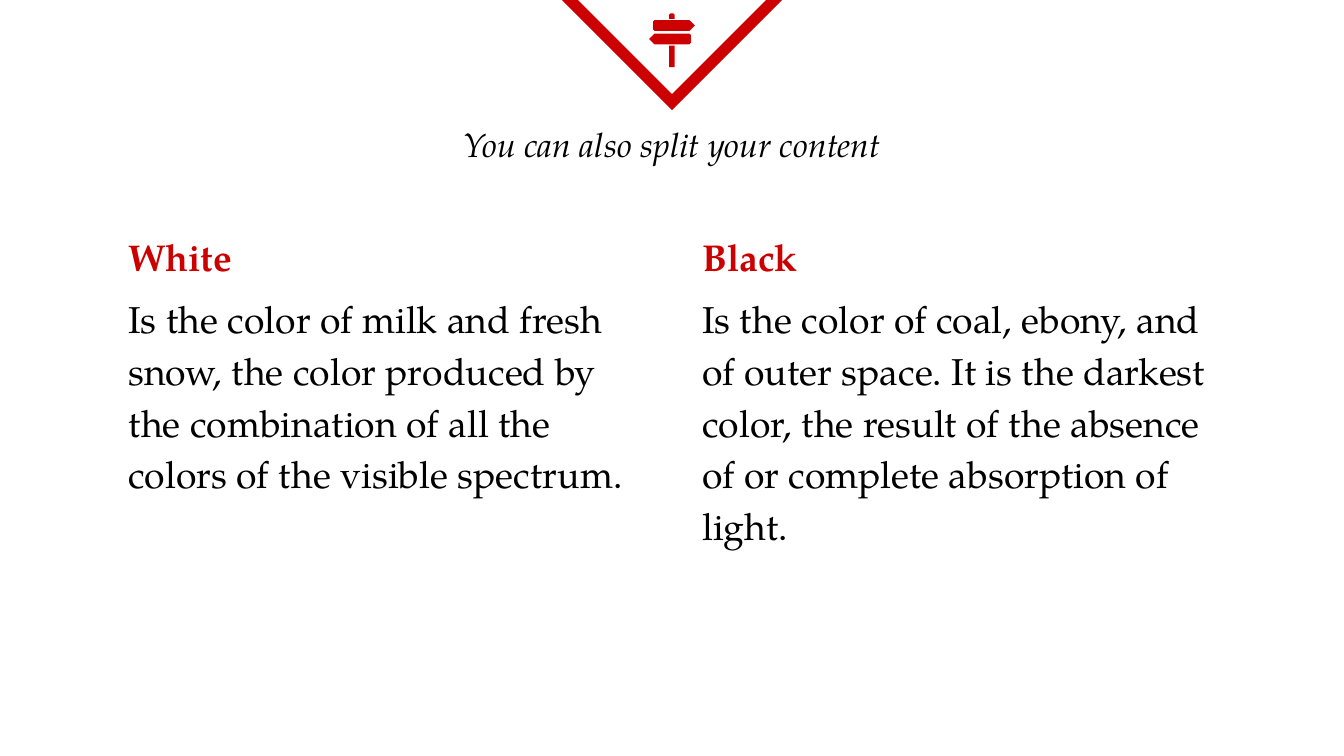
from lxml.etree import SubElement
from pptx import Presentation
from pptx.dml.color import RGBColor
from pptx.enum.shapes import MSO_SHAPE as Preset
from pptx.enum.text import MSO_ANCHOR as Anchor, MSO_AUTO_SIZE as AutoSize, PP_ALIGN as Align
from pptx.oxml.ns import qn
from pptx.util import Inches, Pt

WIDTH = 10
HEIGHT = WIDTH * 9 / 16
MIDDLE = WIDTH / 2
COLUMN_WIDTH, GUTTER = 4.02, 0.25
COLUMN_TOP, COLUMN_HEIGHT = 1.59, 3.8
COLORS = {"accent": "CC0000", "text": "000000"}
FONT = "TeX Gyre Pagella"
TITLE = "You can also split your content"
COLUMNS = [
    ("White", "Is the color of milk and fresh snow, the color produced by "
              "the combination of all the colors of the visible spectrum."),
    ("Black", "Is the color of coal, ebony, and of outer space. It is the darkest color, "
              "the result of the absence of or complete absorption of light."),
]
FRAME = {"word_wrap": True, "auto_size": AutoSize.NONE, "vertical_anchor": Anchor.TOP,
         **{f"margin_{side}": Inches(0.1) for side in ("left", "top", "right", "bottom")}}
TITLE_FONT = {"name": FONT, "size": Pt(18), "italic": True, "bold": False}
HEADING_FONT = {"name": FONT, "size": Pt(20), "bold": True}
BODY_FONT = {**HEADING_FONT, "bold": False}


def color(name):
    """Return the named colour of the slide."""
    return RGBColor.from_string(COLORS[name])


def apply(target, values):
    """Set every attribute in values on the target."""
    for name, value in values.items():
        setattr(target, name, value)


def place(shape, left, top, width, height):
    """Set the position and size of a shape in inches."""
    apply(shape, {"left": Inches(left), "top": Inches(top),
                  "width": Inches(width), "height": Inches(height)})


def write(paragraph, text, font, color_name, layout):
    """Fill a paragraph with formatted text."""
    paragraph.text = text
    apply(paragraph, layout)
    apply(paragraph.font, font)
    paragraph.font.color.rgb = color(color_name)


def fill_title(shape):
    """Place and write the centred title."""
    width = 7.74
    place(shape, MIDDLE - width / 2, 0.82, width, 0.59)
    apply(shape.text_frame, FRAME)
    write(shape.text_frame.paragraphs[0], TITLE, TITLE_FONT, "text",
          {"alignment": Align.CENTER})


def fill_column(shape, index, heading, body):
    """Place one content column and write its heading and body."""
    margin = (WIDTH - 2 * COLUMN_WIDTH - GUTTER) / 2
    place(shape, margin + index * (COLUMN_WIDTH + GUTTER), COLUMN_TOP,
          COLUMN_WIDTH, COLUMN_HEIGHT)
    frame = shape.text_frame
    apply(frame, FRAME)
    lines = [(frame.paragraphs[0], heading, HEADING_FONT, "accent", 0),
             (frame.add_paragraph(), body, BODY_FONT, "text", 6)]
    for paragraph, text, font, color_name, space in lines:
        properties = paragraph._p.get_or_add_pPr()
        properties.set("marL", "0")
        properties.set("indent", "0")
        SubElement(properties, qn("a:buNone"))
        write(paragraph, text, font, color_name,
              {"line_spacing": 1.15, "space_before": Pt(space)})


def add_pennant(slide):
    """Add the outlined triangle that points down from the top edge."""
    width = 1.64
    triangle = slide.shapes.add_shape(
        Preset.ISOSCELES_TRIANGLE, Inches(MIDDLE - width / 2), Inches(-0.06),
        Inches(width), Inches(width / 2))
    triangle.rotation = 180
    triangle.shadow.inherit = False
    triangle.fill.background()
    triangle.line.color.rgb = color("accent")
    triangle.line.width = Pt(6)
    SubElement(triangle.line._ln, qn("a:miter"), lim="800000")


def add_polygon(group, points):
    """Add a filled closed outline given by points in inches."""
    start, *rest = [(Inches(x), Inches(y)) for x, y in points]
    builder = group.shapes.build_freeform(*start)
    builder.add_line_segments(rest, close=True)
    polygon = builder.convert_to_shape()
    polygon.shadow.inherit = False
    polygon.fill.solid()
    polygon.fill.fore_color.rgb = color("accent")
    polygon.line.fill.background()


def board(top, direction):
    """Return the outline of a sign board pointing right (1) or left (-1)."""
    tip, shoulder, back, half, cut = 0.17, 0.13, 0.14, 0.04, 0.01
    outline = [(-back + cut, 0), (shoulder, 0), (tip, half), (shoulder, 2 * half),
               (-back + cut, 2 * half), (-back, 2 * half - cut), (-back, cut)]
    return [(MIDDLE + direction * x, top + y) for x, y in outline]


def post(top, bottom, cut):
    """Return the outline of a piece of post, with its upper corners cut."""
    half = 0.02
    return [(MIDDLE - half, bottom), (MIDDLE - half, top + cut),
            (MIDDLE - half + cut, top), (MIDDLE + half - cut, top),
            (MIDDLE + half, top + cut), (MIDDLE + half, bottom)]


def add_signpost(slide):
    """Add the signpost icon as one group."""
    group = slide.shapes.add_group_shape()
    for outline in (board(0.15, 1), board(0.25, -1), post(0.1, 0.14, 0.01), post(0.34, 0.5, 0)):
        add_polygon(group, outline)


def main():
    """Build and save the slide."""
    presentation = Presentation()
    apply(presentation, {"slide_width": Inches(WIDTH), "slide_height": Inches(HEIGHT)})
    slide = presentation.slides.add_slide(presentation.slide_layouts.get_by_name("Two Content"))
    add_pennant(slide)
    fill_title(slide.shapes.title)
    for index, column in enumerate(COLUMNS):
        fill_column(slide.placeholders[index + 1], index, *column)
    add_signpost(slide)
    presentation.save("out.pptx")


if __name__ == "__main__":
    main()
